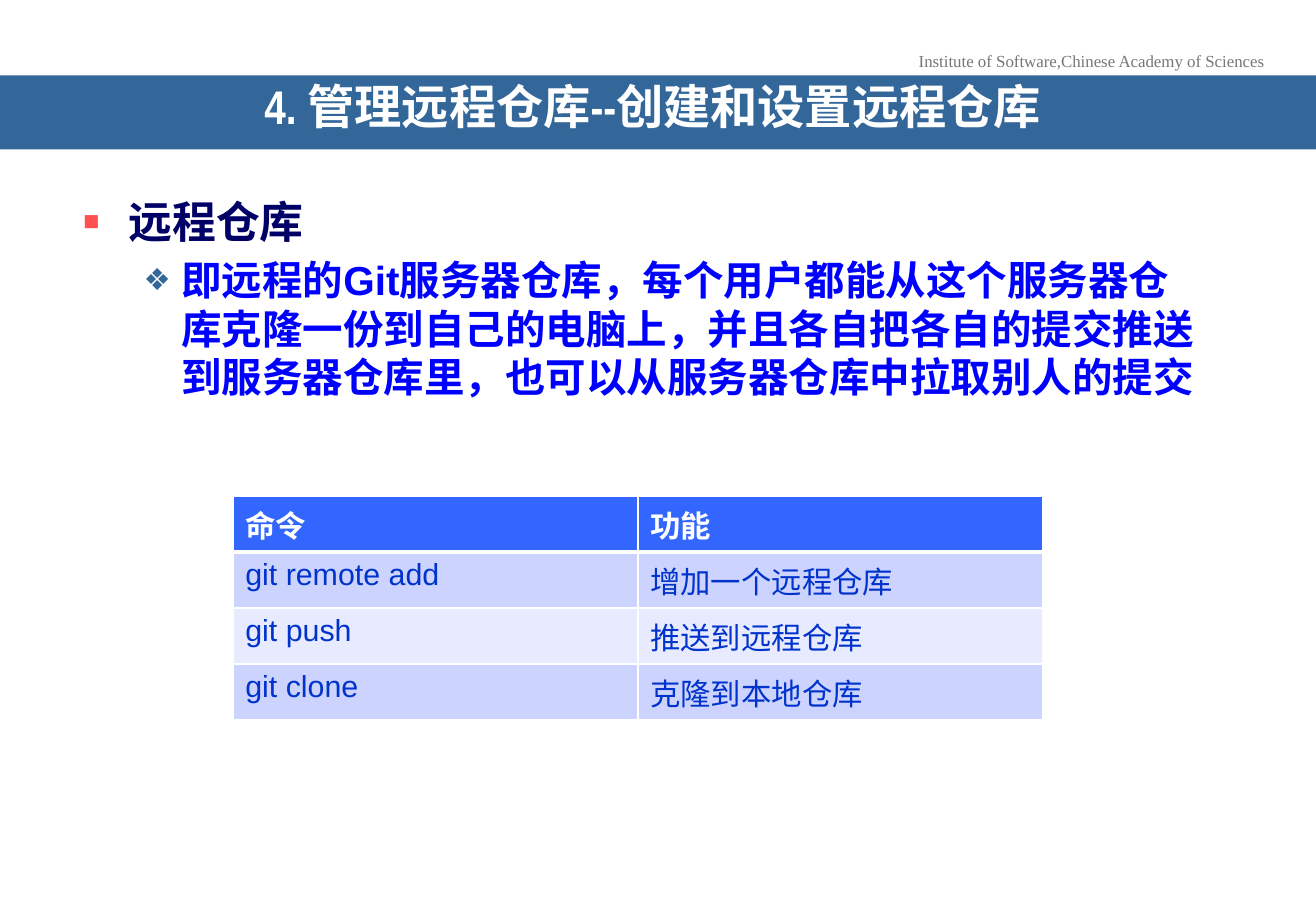
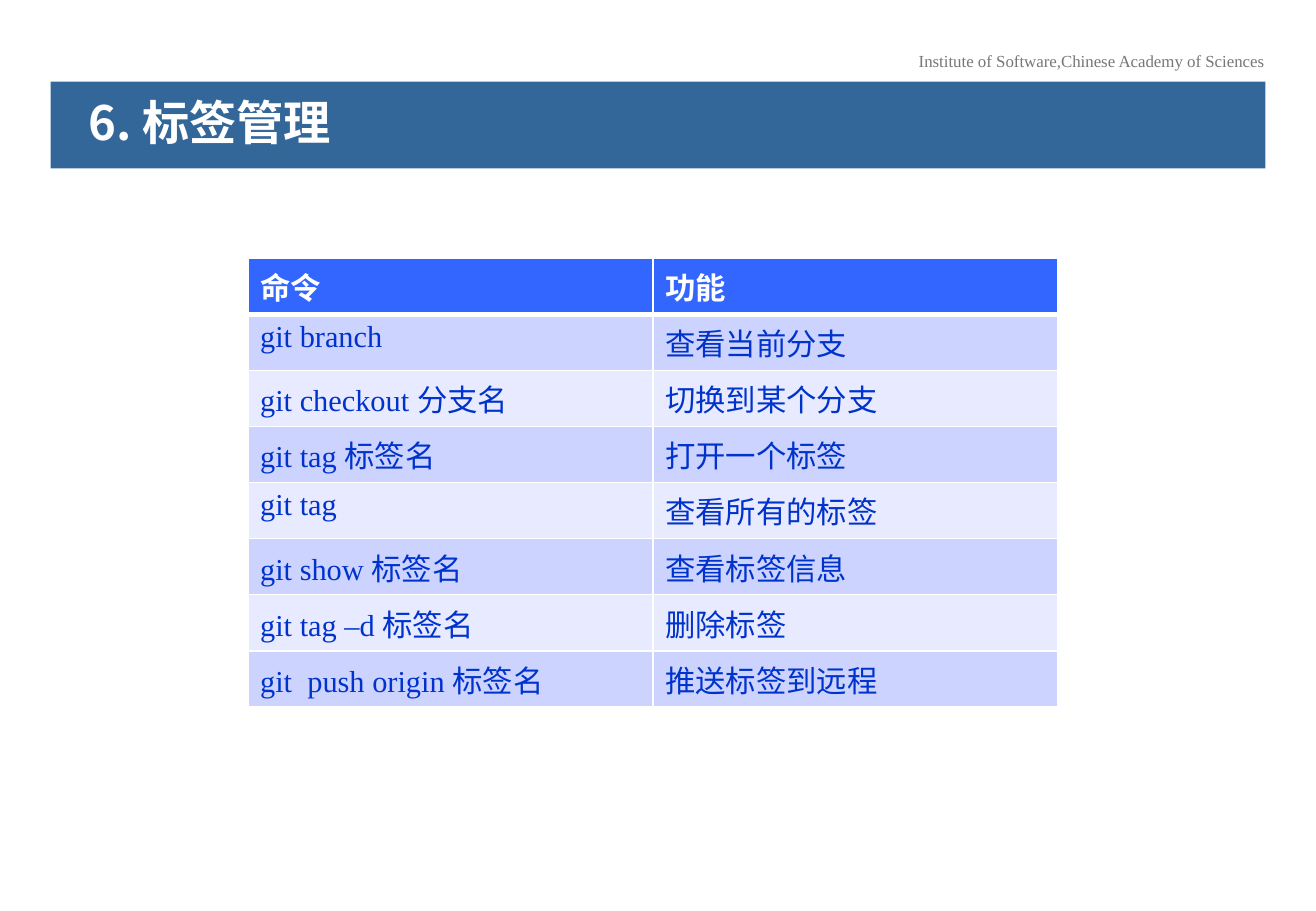
from lxml import etree
from pptx import Presentation
from pptx.dml.color import RGBColor
from pptx.enum import shapes, text
from pptx.oxml import ns
from pptx.util import Pt

# Colours and fonts
WHITE = RGBColor(0xFF, 0xFF, 0xFF)
BAND = RGBColor(0x33, 0x66, 0x99)
GRAY = RGBColor(0x77, 0x77, 0x77)
RED = RGBColor(0xFF, 0x50, 0x50)
NAVY = RGBColor(0x00, 0x00, 0x66)
BLUE = RGBColor(0x00, 0x00, 0xFF)
INK = RGBColor(0x00, 0x33, 0xCC)
HEAD = RGBColor(0x33, 0x66, 0xFF)
ROWS = (RGBColor(0xCD, 0xD3, 0xFF), RGBColor(0xE8, 0xEA, 0xFF))
SANS, SERIF, NARROW, HAN = "Arial", "Times New Roman", "Arial Narrow", "Noto Sans CJK JP"
PAD = Pt(22.5)


def node(parent, tag, **attrs):
    return etree.SubElement(parent, ns.qn(tag), {k: str(v) for k, v in attrs.items()})


def write(para, words, color, **style):
    """Add one run, with the same Han font everywhere."""
    run = para.add_run()
    run.text = words
    for key, val in style.items():
        setattr(run.font, key, val)
    run.font.color.rgb = color
    node(run._r.get_or_add_rPr(), "a:ea", typeface=HAN)


def mark(para, sign, color, scale, left, hang):
    """Give a paragraph a bullet and a hanging indent."""
    props = para._p.get_or_add_pPr()
    props.set("marL", str(Pt(left)))
    props.set("indent", str(-Pt(hang)))
    node(node(props, "a:buClr"), "a:srgbClr", val=color)
    node(props, "a:buSzPct", val=scale * 1000)
    node(props, "a:buFont", typeface=SANS)
    node(props, "a:buChar", char=sign)


def label(slide):
    box = slide.shapes.add_textbox(Pt(536.4), Pt(26.4), Pt(221), Pt(19.5))
    box.text_frame.word_wrap = False
    para = box.text_frame.paragraphs[0]
    para.alignment = text.PP_ALIGN.CENTER
    write(para, "Institute of Software,Chinese Academy of Sciences", GRAY,
          size=Pt(10), name=SERIF)


def title(slide, words, place, font, align, space):
    band = slide.shapes.add_shape(shapes.MSO_SHAPE.RECTANGLE, *map(Pt, place))
    band.shadow.inherit = False
    band.fill.solid()
    band.fill.fore_color.rgb = BAND
    band.line.fill.background()
    frame = band.text_frame
    form = dict(margin_left=PAD, margin_right=PAD, word_wrap=True,
                vertical_anchor=text.MSO_ANCHOR.MIDDLE)
    for key, val in form.items():
        setattr(frame, key, val)
    para = frame.paragraphs[0]
    para.alignment, para.line_spacing = align, space
    write(para, words, WHITE, size=Pt(28), name=font, bold=True)


def body(slide, top, sub):
    box = slide.shapes.add_textbox(Pt(42), Pt(111.6), Pt(678), Pt(180))
    frame = box.text_frame
    frame.word_wrap = True
    first, second = frame.paragraphs[0], frame.add_paragraph()
    second.space_before = Pt(5)
    mark(first, "▪", RED, 120, 27, 27)
    mark(second, "❖", BAND, 75, 58.5, 22.5)
    write(first, top, NAVY, size=Pt(26), name=SANS, bold=True)
    write(second, sub, BLUE, size=Pt(24), name=SANS, bold=True)


def edge(cell, row):
    """Draw white cell borders, thick under the header row."""
    props = cell._tc.get_or_add_tcPr()
    wide = {"T": 3 if row == 1 else 1, "B": 3 if row == 0 else 1}
    for pos, side in enumerate("LRTB"):
        line = node(props, "a:ln" + side, w=Pt(wide.get(side, 1)))
        node(node(line, "a:solidFill"), "a:srgbClr", val=WHITE)
        props.insert(pos, line)


def grid(slide, left, top, font, rows):
    rows = [("命令", "功能")] + rows
    high = Pt(33.25)
    table = slide.shapes.add_table(len(rows), 2, Pt(left), Pt(top),
                                   Pt(480), high * len(rows)).table
    for r, row in enumerate(rows):
        table.rows[r].height = high
        for c, words in enumerate(row):
            cell = table.cell(r, c)
            cell.fill.solid()
            cell.fill.fore_color.rgb = ROWS[(r - 1) % 2] if r else HEAD
            edge(cell, r)
            write(cell.text_frame.paragraphs[0], words, INK if r else WHITE,
                  size=Pt(18), name=font, bold=r == 0)


def main():
    deck = Presentation()
    deck.slide_width, deck.slide_height = Pt(780), Pt(540)
    remote, tags = (deck.slides.add_slide(deck.slide_layouts[6]) for _ in range(2))

    # Remote repositories
    label(remote)
    title(remote, "4. 管理远程仓库--创建和设置远程仓库 ", (0, 44.7, 780, 43.8),
          NARROW, text.PP_ALIGN.CENTER, 0.7)
    body(remote, "远程仓库",
         "即远程的Git服务器仓库，每个用户都能从这个服务器仓库克隆一份到自己的电脑上，"
         "并且各自把各自的提交推送到服务器仓库里，也可以从服务器仓库中拉取别人的提交")
    grid(remote, 138.2, 294, SANS, [
        ("git remote add", "增加一个远程仓库"),
        ("git push", "推送到远程仓库"),
        ("git clone", "克隆到本地仓库"),
    ])

    # Tags
    label(tags)
    title(tags, "6. 标签管理", (30, 48.4, 720, 51.4), HAN, text.PP_ALIGN.LEFT, 0.93)
    grid(tags, 147, 153.2, SERIF, [
        ("git branch", "查看当前分支"),
        ("git checkout 分支名", "切换到某个分支"),
        ("git tag 标签名", "打开一个标签"),
        ("git tag", "查看所有的标签"),
        ("git show 标签名", "查看标签信息"),
        ("git tag –d 标签名", "删除标签"),
        ("git  push origin 标签名", "推送标签到远程"),
    ])
    deck.save("out.pptx")


if __name__ == "__main__":
    main()
